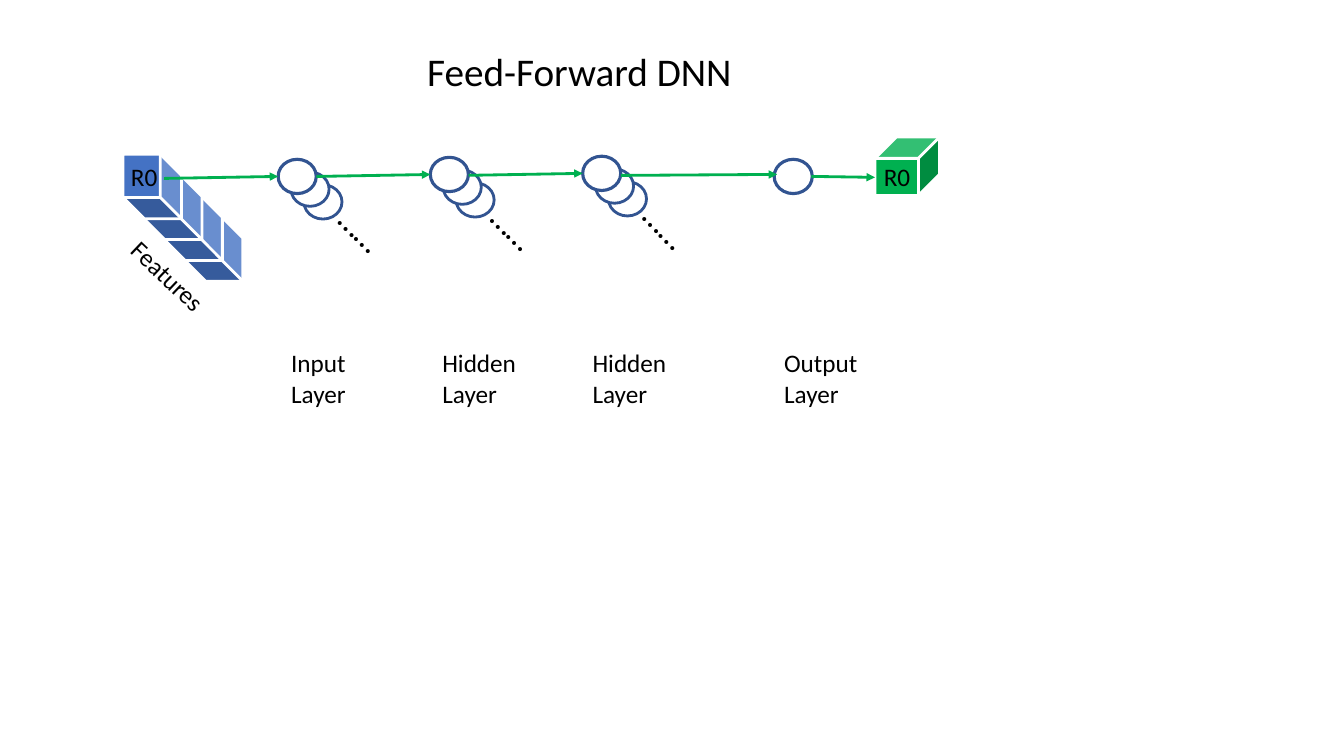
from dataclasses import dataclass

from lxml.etree import SubElement
from pptx import Presentation
from pptx.dml.color import RGBColor
from pptx.enum.shapes import MSO_CONNECTOR, MSO_SHAPE
from pptx.oxml.ns import qn
from pptx.util import Pt

COLORS = {
    "text": "000000",
    "white": "FFFFFF",
    "feature": "4472C4",
    "neuron": "325491",
    "flow": "00B050",
}
FONT = "Calibri"
CUBE_W, CUBE_H = 46.1, 41.8
NEURON_W, NEURON_H = 27.2, 24.5


@dataclass
class Layer:
    left: float
    top: float


@dataclass
class Label:
    text: str
    left: float


@dataclass
class Arrow:
    x1: float
    y1: float
    x2: float
    y2: float


LAYERS = [Layer(198.7, 113.8), Layer(307.4, 112.4), Layer(416.2, 111.6)]
LABELS = [
    Label("Input Layer", 200.9),
    Label("Hidden Layer", 308.9),
    Label("Hidden Layer", 416.2),
    Label("Output Layer", 553),
]
OUTPUT_ARROWS = [Arrow(443.5, 125.3, 555.1, 124.6), Arrow(579.6, 126, 625, 126.7)]


def rgb(name: str) -> RGBColor:
    return RGBColor.from_string(COLORS[name])


def add_text(s, text: str, left: float, top: float, width: float, height: float,
             size: float = 18, rotation: float = 0) -> None:
    sp = s.shapes.add_textbox(Pt(left), Pt(top), Pt(width), Pt(height))
    sp.rotation = rotation
    tf = sp.text_frame
    tf.word_wrap = True
    r = tf.paragraphs[0].add_run()
    r.text = text
    r.font.name = FONT
    r.font.size = Pt(size)
    r.font.color.rgb = rgb("text")


def add_solid(s, kind: MSO_SHAPE, left: float, top: float, width: float, height: float,
              fill: str, line: str, weight: float = 2):
    sp = s.shapes.add_shape(kind, Pt(left), Pt(top), Pt(width), Pt(height))
    sp.shadow.inherit = False
    sp.fill.solid()
    sp.fill.fore_color.rgb = rgb(fill)
    sp.line.color.rgb = rgb(line)
    sp.line.width = Pt(weight)
    return sp


def add_cube(s, left: float, top: float, fill: str, rotation: float = 0) -> None:
    sp = add_solid(s, MSO_SHAPE.CUBE, left, top, CUBE_W, CUBE_H, fill, "white")
    sp.adjustments[0] = 0.364
    sp.rotation = rotation


def add_neuron(s, left: float, top: float, weight: float = 2.25) -> None:
    add_solid(s, MSO_SHAPE.OVAL, left, top, NEURON_W, NEURON_H, "white", "neuron", weight)


def add_arrow(s, a: Arrow) -> None:
    sp = s.shapes.add_connector(MSO_CONNECTOR.STRAIGHT, Pt(a.x1), Pt(a.y1), Pt(a.x2), Pt(a.y2))
    sp.line.color.rgb = rgb("flow")
    sp.line.width = Pt(2)
    SubElement(sp.line._get_or_add_ln(), qn("a:tailEnd"), type="triangle")
    SubElement(sp._element.spPr, qn("a:effectLst"))


def add_layer(s, layer: Layer) -> None:
    """Stack three neurons, front one last, with dots behind and an incoming arrow."""
    for depth in (2, 1, 0):
        add_neuron(s, layer.left + 9.2 * depth, layer.top + 9.1 * depth,
                   2 if depth else 2.25)
    add_text(s, "……", layer.left + 35.3, layer.top + 34.6, 54.7, 36, size=24, rotation=45.6)
    y = layer.top + NEURON_H / 2
    add_arrow(s, Arrow(layer.left - 81.4, y + 1.4, layer.left, y))


def main() -> None:
    prs = Presentation()
    prs.slide_width, prs.slide_height = Pt(960), Pt(540)
    s = prs.slides.add_slide(prs.slide_layouts[6])

    add_text(s, "Feed-Forward DNN", 298.1, 30.2, 289.4, 41, size=28)

    for depth in (3, 2, 1, 0):
        add_cube(s, 85.7 + 14.6 * depth, 112.3 + 14.9 * depth, "feature", rotation=90)
    add_text(s, "R0", 86.4, 111.6, 42.5, 28.8)
    add_text(s, "Features", 81.4, 182.9, 77.8, 28.8, rotation=43.5)

    for layer in LAYERS:
        add_layer(s, layer)
    for label in LABELS:
        add_text(s, label.text, label.left, 244.8, 76.3, 51.1)

    add_neuron(s, 553, 113.8)
    add_cube(s, 625, 97.9, "flow")
    for arrow in OUTPUT_ARROWS:
        add_arrow(s, arrow)
    add_text(s, "R0", 624.2, 111.6, 42.5, 28.8)

    prs.save("out.pptx")


if __name__ == "__main__":
    main()
